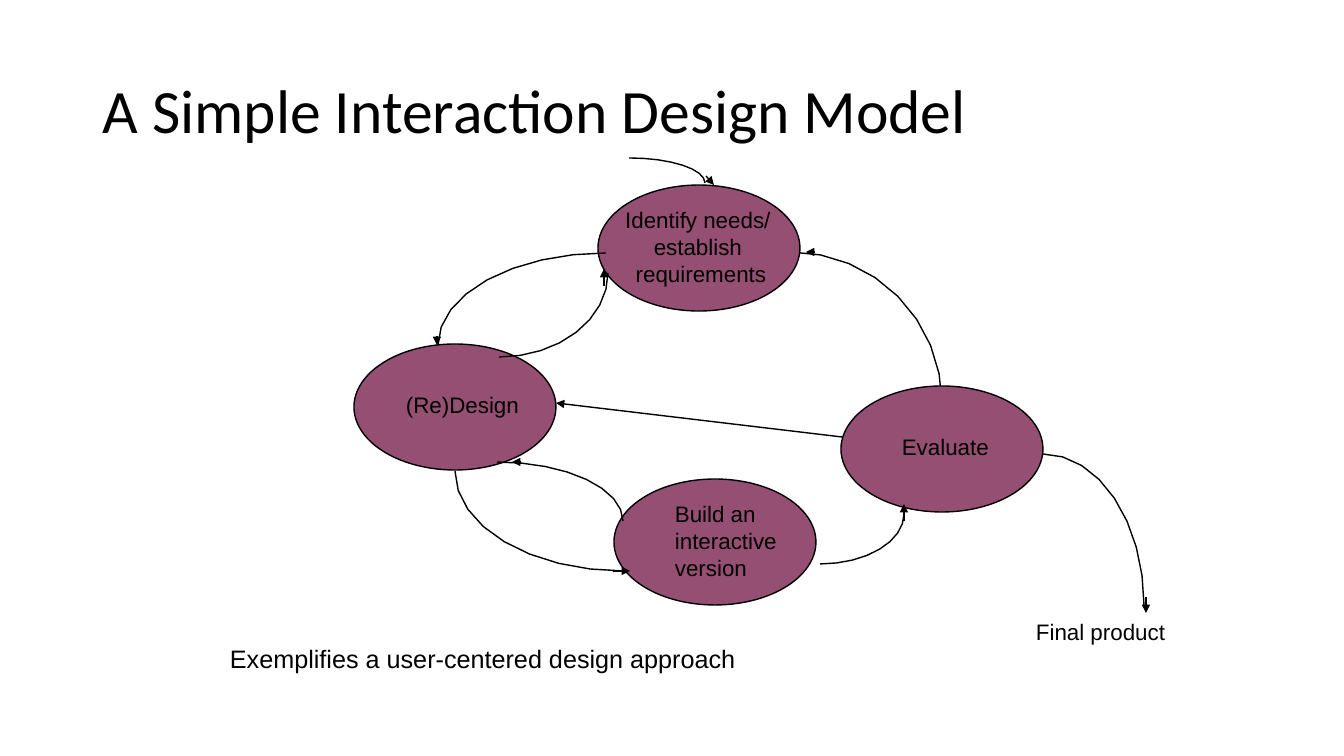
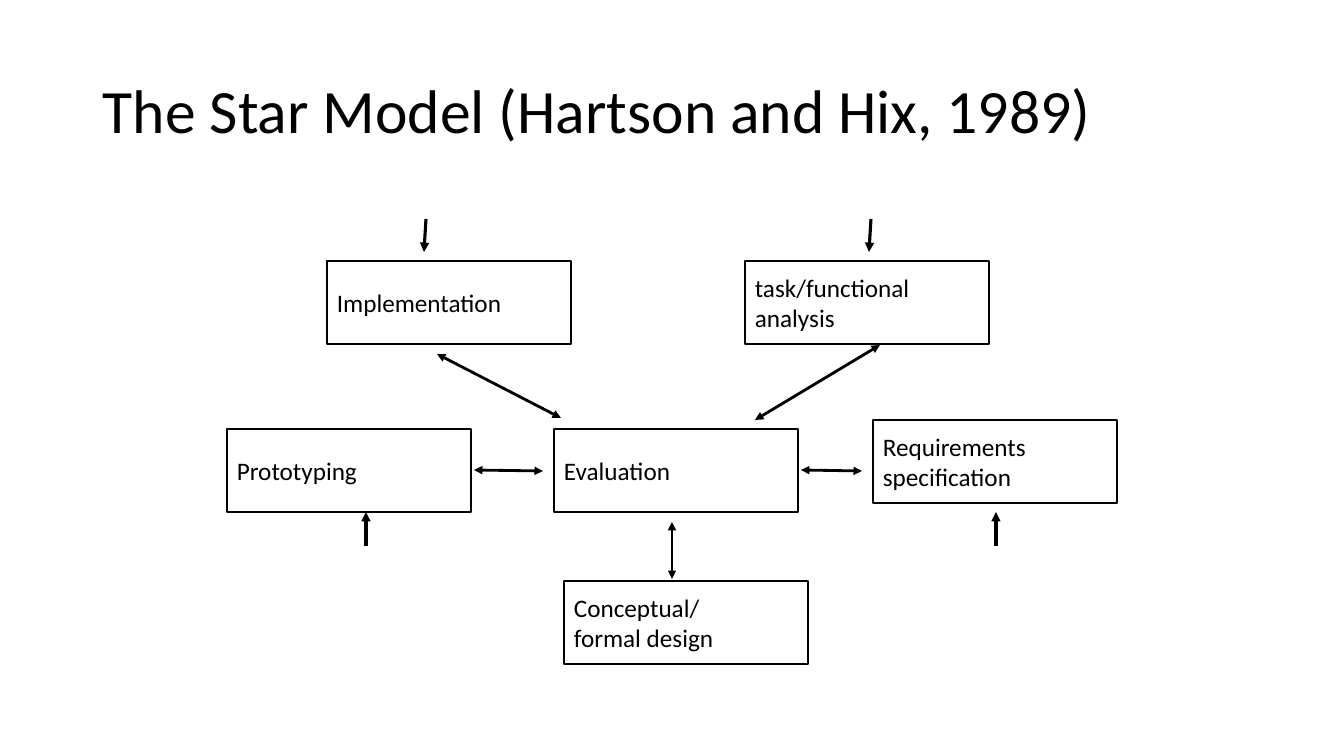
from dataclasses import dataclass
from math import cos, pi, sin
from typing import Any

from lxml import etree
from pptx import Presentation
from pptx import util as u
from pptx.dml.color import RGBColor
from pptx.enum import shapes, text
from pptx.oxml.ns import qn

SCALE = 914400 / 100.8
BLACK, WHITE, PLUM = "000000", "FFFFFF", "954F72"
ARC_STEPS = 8
OVAL_SIZE = (202, 126)
BOX_SIZE = (244, 83)


@dataclass(frozen=True)
class Style:
    font: str
    size: int
    align: Any = text.PP_ALIGN.LEFT
    anchor: Any = text.MSO_ANCHOR.TOP
    spacing: float = 1.0
    wrap: bool = False


TITLE = Style("Calibri", 44, anchor=text.MSO_ANCHOR.MIDDLE, spacing=0.9, wrap=True)
LABEL = Style("Arial", 16)
CENTERED = Style("Arial", 16, text.PP_ALIGN.CENTER)
REMARK = Style("Arial", 18)
BOXED = Style("Calibri", 18, anchor=text.MSO_ANCHOR.MIDDLE, wrap=True)


@dataclass(frozen=True)
class Label:
    left: int
    top: int
    width: int
    height: int
    lines: tuple[str, ...]
    style: Style = LABEL


@dataclass(frozen=True)
class Node:
    left: int
    top: int
    lines: tuple[str, ...] = ()


@dataclass(frozen=True)
class Curve:
    flat_x: int
    flat_y: int
    steep_x: int
    steep_y: int


@dataclass(frozen=True)
class Arrow:
    x1: int
    y1: int
    x2: int
    y2: int
    weight: float = 1
    both: bool = False


def px(value: float) -> int:
    return round(value * SCALE)


def colour(code: str) -> RGBColor:
    return RGBColor.from_string(code)


def apply(target: Any, values: dict[str, Any]) -> None:
    for name, value in values.items():
        setattr(target, name, value)


def outline(line: Any, weight: float) -> None:
    line.color.rgb = colour(BLACK)
    line.width = u.Pt(weight)


def write(frame: Any, lines: tuple[str, ...], style: Style) -> None:
    apply(frame, {"word_wrap": style.wrap, "vertical_anchor": style.anchor})
    for index, line in enumerate(lines):
        para = frame.paragraphs[0] if index == 0 else frame.add_paragraph()
        apply(para, {"alignment": style.align, "line_spacing": style.spacing})
        span = para.add_run()
        span.text = line
        apply(span.font, {"name": style.font, "size": u.Pt(style.size)})
        span.font.color.rgb = colour(BLACK)


def draw_label(page: Any, label: Label) -> None:
    place = map(px, (label.left, label.top, label.width, label.height))
    frame = page.shapes.add_textbox(*place).text_frame
    write(frame, label.lines, label.style)
    if not label.style.wrap:
        frame.auto_size = text.MSO_AUTO_SIZE.SHAPE_TO_FIT_TEXT


def draw_node(page: Any, node: Node, kind: Any, size: tuple[int, int], fill: str) -> None:
    box = page.shapes.add_shape(kind, *map(px, (node.left, node.top, *size)))
    box.shadow.inherit = False
    box.fill.solid()
    box.fill.fore_color.rgb = colour(fill)
    outline(box.line, 1)
    write(box.text_frame, node.lines, BOXED)


def draw_curve(page: Any, curve: Curve) -> None:
    reach_x = curve.steep_x - curve.flat_x
    reach_y = curve.flat_y - curve.steep_y
    angles = [pi / 2 * step / ARC_STEPS for step in range(ARC_STEPS + 1)]
    points = [
        (px(curve.flat_x + reach_x * sin(a)), px(curve.steep_y + reach_y * cos(a)))
        for a in angles
    ]
    builder = page.shapes.build_freeform(*points[0])
    builder.add_line_segments(points[1:], close=False)
    arc = builder.convert_to_shape()
    arc.shadow.inherit = False
    arc.fill.background()
    outline(arc.line, 1)


def draw_arrow(page: Any, arrow: Arrow) -> None:
    ends = map(px, (arrow.x1, arrow.y1, arrow.x2, arrow.y2))
    connector = page.shapes.add_connector(shapes.MSO_CONNECTOR.STRAIGHT, *ends)
    outline(connector.line, arrow.weight)
    properties = connector._element.spPr
    stroke = properties.find(qn("a:ln"))
    for tag in ("a:headEnd", "a:tailEnd") if arrow.both else ("a:tailEnd",):
        etree.SubElement(stroke, qn(tag), type="triangle")
    etree.SubElement(properties, qn("a:effectLst"))


def add_page(deck: Any, title: str) -> Any:
    page = deck.slides.add_slide(deck.slide_layouts[6])
    draw_label(page, Label(93, 41, 1159, 146, (title,), TITLE))
    return page


OVALS = (Node(598, 185), Node(354, 344), Node(841, 386), Node(614, 479))
BACK_CURVE = Curve(791, 252, 942, 403)
CURVES = (
    Curve(606, 253, 438, 345),
    Curve(499, 357, 608, 273),
    Curve(623, 571, 455, 471),
    Curve(497, 462, 623, 521),
    Curve(820, 564, 904, 514),
    Curve(1043, 454, 1144, 605),
    Curve(629, 158, 705, 183),
)
LABELS = (
    Label(892, 428, 107, 37, ("Evaluate",)),
    Label(396, 386, 133, 37, ("(Re)Design",)),
    Label(615, 201, 172, 91, ("Identify needs/ ", "establish ", "requirements"), CENTERED),
    Label(665, 495, 129, 91, ("Build an ", "interactive ", "version")),
    Label(1026, 613, 149, 37, ("Final product",)),
    Label(220, 638, 537, 40, ("Exemplifies a user-centered design approach ",), REMARK),
)
CYCLE_ARROWS = (
    Arrow(842, 437, 556, 403),
    Arrow(1146, 597, 1146, 613),
    Arrow(521, 462, 512, 462),
    Arrow(613, 571, 630, 571),
    Arrow(437, 336, 437, 345),
    Arrow(604, 286, 604, 269),
    Arrow(904, 521, 904, 504),
    Arrow(706, 176, 714, 185),
    Arrow(814, 252, 806, 252),
)
BOXES = (
    Node(554, 429, ("Evaluation",)),
    Node(564, 581, ("Conceptual/", "formal design")),
    Node(873, 420, ("Requirements", "specification")),
    Node(227, 429, ("Prototyping",)),
    Node(745, 261, ("task/functional", "analysis")),
    Node(327, 261, ("Implementation",)),
)
STAR_ARROWS = (
    Arrow(437, 354, 561, 418, 2, True),
    Arrow(755, 420, 880, 345, 2, True),
    Arrow(474, 470, 543, 471, 2, True),
    Arrow(801, 470, 862, 471, 2, True),
    Arrow(672, 522, 672, 579, 2, True),
    Arrow(366, 546, 366, 512, 2.25),
    Arrow(996, 546, 996, 512, 2.25),
    Arrow(426, 219, 424, 252, 2.25),
    Arrow(871, 219, 869, 252, 2.25),
)


def draw_cycle(deck: Any) -> None:
    page = add_page(deck, "A Simple Interaction Design Model")
    draw_curve(page, BACK_CURVE)
    for oval in OVALS:
        draw_node(page, oval, shapes.MSO_SHAPE.OVAL, OVAL_SIZE, PLUM)
    for label in LABELS:
        draw_label(page, label)
    for curve in CURVES:
        draw_curve(page, curve)
    for arrow in CYCLE_ARROWS:
        draw_arrow(page, arrow)


def draw_star(deck: Any) -> None:
    page = add_page(deck, "The Star Model (Hartson and Hix, 1989)")
    for box in BOXES:
        draw_node(page, box, shapes.MSO_SHAPE.RECTANGLE, BOX_SIZE, WHITE)
    for arrow in STAR_ARROWS:
        draw_arrow(page, arrow)


deck = Presentation()
apply(deck, {"slide_width": px(1344), "slide_height": px(756)})
draw_cycle(deck)
draw_star(deck)
deck.save("out.pptx")
